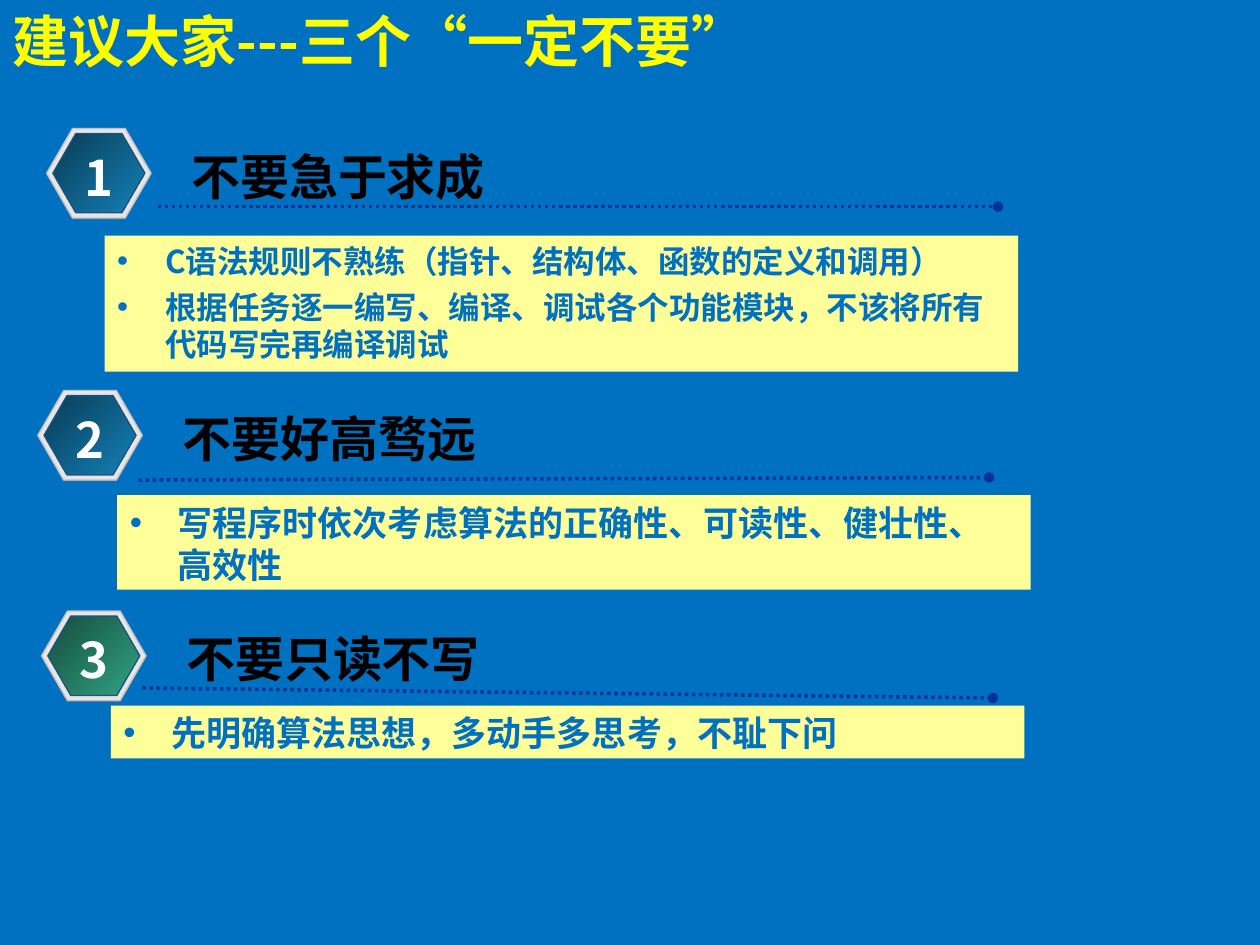
from dataclasses import dataclass

from lxml.etree import SubElement
from pptx import Presentation
from pptx.dml.color import RGBColor as Rgb
from pptx.enum.dml import MSO_LINE_DASH_STYLE as Dash
from pptx.enum.shapes import MSO_CONNECTOR as Connector, MSO_SHAPE as Shape
from pptx.enum.text import MSO_ANCHOR as Anchor, MSO_AUTO_SIZE as AutoSize, PP_ALIGN as Align
from pptx.oxml.ns import qn
from pptx.util import Inches, Pt


@dataclass(frozen=True)
class Theme:
    font: str = "Noto Sans CJK SC"
    background: str = "0070C0"
    title: str = "FFFF00"
    heading: str = "000000"
    number: str = "FFFFFF"
    advice: str = "0070C0"
    panel: str = "FFFF99"
    rule: str = "003399"
    badge_shadow: str = "808080"
    badge_rim: str = "E6E6E6"
    badge_edge: str = "C0C0C0"
    face_edge: str = "1F5281"
    blue: tuple = ("093C55", "1481B8")
    green: tuple = ("164C3D", "30A483")
    title_size: int = 32
    heading_size: int = 28


@dataclass
class Section:
    number: str
    heading: str
    heading_width: float
    advice: list
    advice_size: int
    badge: tuple
    face_colors: tuple
    rule: tuple
    panel: tuple


class SlideBuilder:
    def __init__(self, slide, theme):
        self.slide = slide
        self.theme = theme
        slide.background.fill.solid()
        slide.background.fill.fore_color.rgb = Rgb.from_string(theme.background)

    def place(self, shape, left, top, width, height):
        shape.left, shape.top = Inches(left), Inches(top)
        shape.width, shape.height = Inches(width), Inches(height)

    def style(self, paragraph, size, color, align=Align.LEFT):
        paragraph.alignment = align
        for run in paragraph.runs:
            run.font.size = Pt(size)
            run.font.bold = True
            run.font.name = self.theme.font
            run.font.color.rgb = Rgb.from_string(color)
            SubElement(run._r.get_or_add_rPr(), qn("a:ea"), typeface=self.theme.font)

    def title(self, text):
        title = self.slide.shapes.title
        self.place(title, 0, 0, 9.69, 0.63)
        frame = title.text_frame
        frame.text = text
        frame.auto_size = AutoSize.NONE
        frame.vertical_anchor = Anchor.MIDDLE
        self.style(frame.paragraphs[0], self.theme.title_size, self.theme.title)

    def label(self, text, left, top, width, color, align=Align.LEFT, wrap=True):
        box = self.slide.shapes.add_textbox(
            Inches(left), Inches(top), Inches(width), Inches(0.57))
        frame = box.text_frame
        frame.text = text
        frame.word_wrap = wrap
        frame.auto_size = AutoSize.SHAPE_TO_FIT_TEXT
        self.style(frame.paragraphs[0], self.theme.heading_size, color, align)

    def hexagon(self, left, top, width, height, colors, edge=None):
        hexagon = self.slide.shapes.add_shape(
            Shape.HEXAGON, Inches(left), Inches(top), Inches(width), Inches(height))
        hexagon.adjustments[0] = 0.289
        hexagon.shadow.inherit = False
        if len(colors) == 1:
            hexagon.fill.solid()
            hexagon.fill.fore_color.rgb = Rgb.from_string(colors[0])
        else:
            hexagon.fill.gradient()
            hexagon.fill.gradient_angle = 315
            for stop, color in zip(hexagon.fill.gradient_stops, colors):
                stop.color.rgb = Rgb.from_string(color)
        if edge:
            hexagon.line.color.rgb = Rgb.from_string(edge)
            hexagon.line.width = Pt(0.75)
        else:
            hexagon.line.fill.background()

    def badge(self, number, left, top, face_colors):
        theme = self.theme
        self.hexagon(left, top + 0.01, 0.83, 0.71, [theme.badge_shadow])
        self.hexagon(left, top, 0.83, 0.71, [theme.badge_rim], theme.badge_edge)
        self.hexagon(left + 0.05, top + 0.04, 0.73, 0.63, face_colors, theme.face_edge)
        self.label(number, left + 0.2, top + 0.1, 0.42, theme.number, Align.CENTER, False)

    def rule(self, *ends):
        rule = self.slide.shapes.add_connector(
            Connector.STRAIGHT, *(Inches(value) for value in ends))
        rule.line.color.rgb = Rgb.from_string(self.theme.rule)
        rule.line.width = Pt(2)
        rule.line.dash_style = Dash.ROUND_DOT
        SubElement(rule.line._get_or_add_ln(), qn("a:tailEnd"), type="oval")
        SubElement(rule._element.spPr, qn("a:effectLst"))

    def bullet(self, paragraph):
        properties = paragraph._p.get_or_add_pPr()
        properties.set("marL", str(Inches(0.38)))
        properties.set("indent", str(-Inches(0.38)))
        bullet_color = SubElement(properties, qn("a:buClr"))
        SubElement(bullet_color, qn("a:srgbClr"), val=self.theme.advice)
        SubElement(properties, qn("a:buChar"), char="•")

    def advice(self, placeholder, lines, size, area):
        self.place(placeholder, *area)
        placeholder.fill.solid()
        placeholder.fill.fore_color.rgb = Rgb.from_string(self.theme.panel)
        frame = placeholder.text_frame
        frame.text = "\n".join(lines)
        frame.auto_size = AutoSize.NONE
        frame.vertical_anchor = Anchor.TOP
        for index, paragraph in enumerate(frame.paragraphs):
            self.bullet(paragraph)
            paragraph.space_before = Pt(size / 4 if index else 0)
            self.style(paragraph, size, self.theme.advice)

    def section(self, section, placeholder):
        left, top = section.badge
        self.badge(section.number, left, top, section.face_colors)
        self.rule(*section.rule)
        self.label(section.heading, left + 1.05, top + 0.09,
                   section.heading_width, self.theme.heading)
        self.advice(placeholder, section.advice, section.advice_size, section.panel)


def main():
    theme = Theme()
    sections = [
        Section("1", "不要急于求成", 4.33,
                ["C语法规则不熟练（指针、结构体、函数的定义和调用）",
                 "根据任务逐一编写、编译、调试各个功能模块，不该将所有代码写完再编译调试"],
                18, (0.37, 1.02), theme.blue,
                (1.25, 1.64, 7.92, 1.64), (0.83, 1.87, 7.25, 1.08)),
        Section("2", "不要好高骛远", 6.39,
                ["写程序时依次考虑算法的正确性、可读性、健壮性、高效性"],
                20, (0.3, 3.1), theme.blue,
                (1.1, 3.81, 7.85, 3.79), (0.93, 3.93, 7.25, 0.75)),
        Section("3", "不要只读不写", 6.39,
                ["先明确算法思想，多动手多思考，不耻下问"],
                20, (0.33, 4.85), theme.green,
                (1.13, 5.46, 7.88, 5.54), (0.88, 5.6, 7.25, 0.42)),
    ]
    deck = Presentation()
    deck.slide_width, deck.slide_height = Inches(10), Inches(7.5)
    comparison_layout = deck.slide_layouts[4]
    slide = deck.slides.add_slide(comparison_layout)
    builder = SlideBuilder(slide, theme)
    builder.title("建议大家---三个“一定不要”")
    _, *bodies, unused_body = slide.placeholders
    for section, body in zip(sections, bodies):
        builder.section(section, body)
    unused_body.element.getparent().remove(unused_body.element)
    deck.save("out.pptx")


if __name__ == "__main__":
    main()
